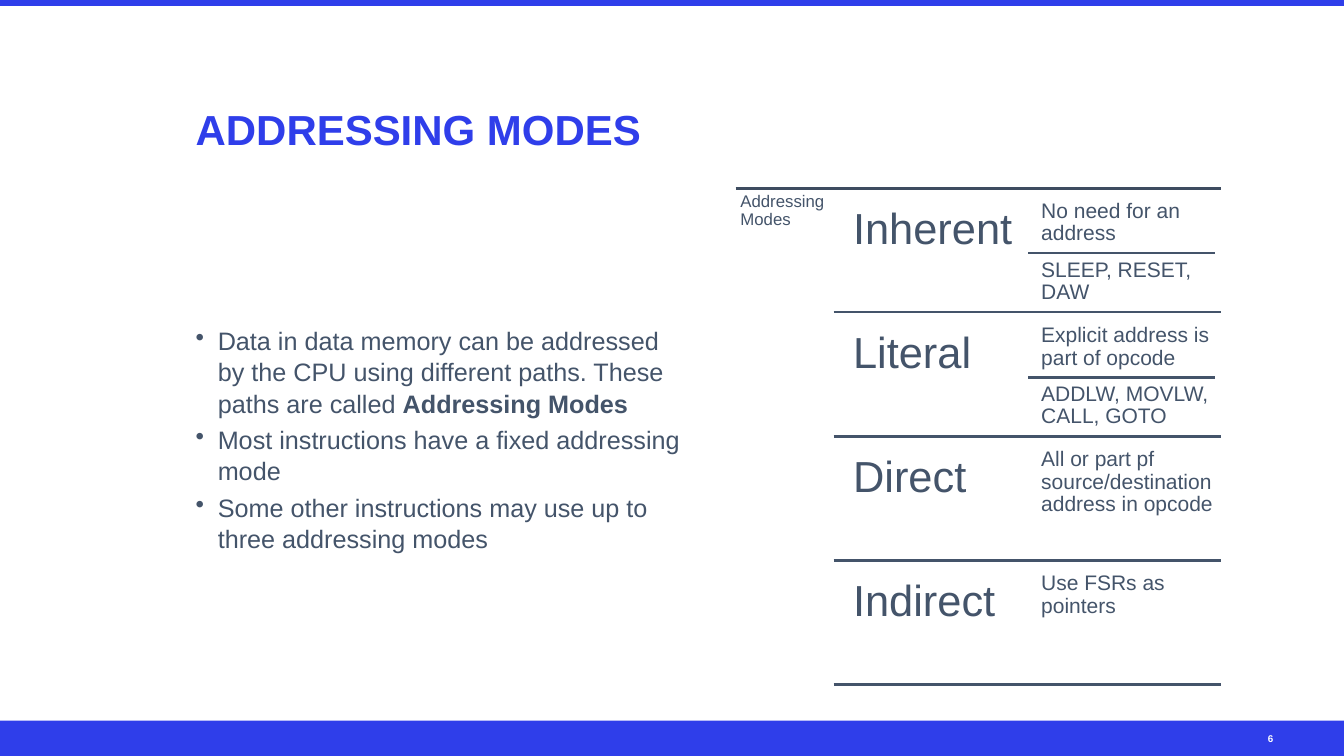
import pptx
import pptx.util
import pptx.dml.color
import pptx.enum.shapes
import pptx.enum.text
import lxml.etree
from dataclasses import dataclass

Cm, Pt = pptx.util.Cm, pptx.util.Pt
RGB = pptx.dml.color.RGBColor.from_string
ANCHOR = pptx.enum.text.MSO_ANCHOR


@dataclass(frozen=True)
class Theme:
    font: str = "Arial"
    accent: str = "2F3EEA"
    ink: str = "44546A"
    root_rule: str = "3E4C60"
    white: str = "FFFFFF"
    title: int = 30
    body: int = 18
    mode: int = 31
    note: int = 15
    root: int = 12
    number: int = 7
    rule: int = 2


theme = Theme()
deck = pptx.Presentation()
deck.slide_width, deck.slide_height = Cm(33.87), Cm(19.05)
slide = deck.slides.add_slide(deck.slide_layouts[6])


def add_text(box, paragraphs, size, color=theme.ink, inset=0, anchor=ANCHOR.TOP, spacing=0.9):
    frame = slide.shapes.add_textbox(*map(Cm, box)).text_frame
    frame.word_wrap = True
    frame.vertical_anchor = anchor
    frame.margin_left = frame.margin_right = Cm(inset)
    frame.margin_top = frame.margin_bottom = Cm(inset)
    for index, runs in enumerate(paragraphs):
        paragraph = frame.paragraphs[0] if index == 0 else frame.add_paragraph()
        paragraph.line_spacing = spacing
        for words, bold in runs:
            run = paragraph.add_run()
            run.text = words
            run.font.name, run.font.size, run.font.bold = theme.font, Pt(size), bold
            run.font.color.rgb = RGB(color)
    return frame


def add_rule(left, right, y, color=theme.ink):
    rule = slide.shapes.add_connector(
        pptx.enum.shapes.MSO_CONNECTOR.STRAIGHT, Cm(left), Cm(y), Cm(right), Cm(y))
    rule.line.color.rgb = RGB(color)
    rule.line.width = Pt(theme.rule)
    lxml.etree.SubElement(rule._element.spPr, pptx.oxml.ns.qn("a:effectLst"))


for band_top, band_height in ((18.16, 0.89), (0, 0.15)):
    band = slide.shapes.add_shape(
        pptx.enum.shapes.MSO_SHAPE.RECTANGLE, 0, Cm(band_top), deck.slide_width, Cm(band_height))
    band.shadow.inherit = False
    band.fill.solid()
    band.fill.fore_color.rgb = RGB(theme.accent)
    band.line.fill.background()

add_text((4.93, 1.19, 25.86, 2.69), [[("ADDRESSING MODES", True)]],
         theme.title, theme.accent, anchor=ANCHOR.BOTTOM, spacing=1.0)
add_text((31.95, 18.16, 1.19, 0.89), [[("6", True)]],
         theme.number, theme.white, anchor=ANCHOR.MIDDLE, spacing=1.0)

points = add_text((4.93, 4.75, 12.24, 12.62), [
    [("Data in data memory can be addressed by the CPU using different paths. "
      "These paths are called ", False), ("Addressing Modes", True)],
    [("Most instructions have a fixed addressing mode", False)],
    [("Some other instructions may use up to three addressing modes", False)],
], theme.body, anchor=ANCHOR.MIDDLE, spacing=1.04)
for point in points.paragraphs:
    point.space_before = Pt(3.6)
    properties = point._p.get_or_add_pPr()
    properties.set("marL", str(Cm(0.56)))
    properties.set("indent", str(-Cm(0.56)))
    bullet = lxml.etree.SubElement(properties, pptx.oxml.ns.qn("a:buChar"))
    bullet.set("char", "•")

modes = [
    ("Inherent", ["No need for an address", "SLEEP, RESET, DAW"]),
    ("Literal", ["Explicit address is part of opcode", "ADDLW, MOVLW, CALL, GOTO"]),
    ("Direct", ["All or part pf source/destination address in opcode"]),
    ("Indirect", ["Use FSRs as pointers"]),
]
tree_left, tree_right, tree_top = 18.54, 30.78, 4.75
row_pitch, row_gap, row_height = 3.13, 0.14, 2.97
mode_left, note_left, column_width = 21.18, 26.09, 4.72

add_rule(tree_left, tree_right, tree_top, theme.root_rule)
add_text((tree_left, tree_top, 2.44, 12.62), [[("Addressing Modes", False)]],
         theme.root, inset=0.12)
for row, (mode, notes) in enumerate(modes):
    row_top = tree_top + row * row_pitch + row_gap
    add_text((mode_left, row_top, column_width, row_height), [[(mode, False)]],
             theme.mode, inset=0.32)
    note_height = row_height / len(notes)
    for order, note in enumerate(notes):
        note_top = row_top + order * note_height
        if order:
            add_rule(25.91, 30.61, note_top)
        add_text((note_left, note_top, column_width, note_height), [[(note, False)]],
                 theme.note, inset=0.15)
    add_rule(21.01, tree_right, row_top + row_height)

deck.save("out.pptx")
